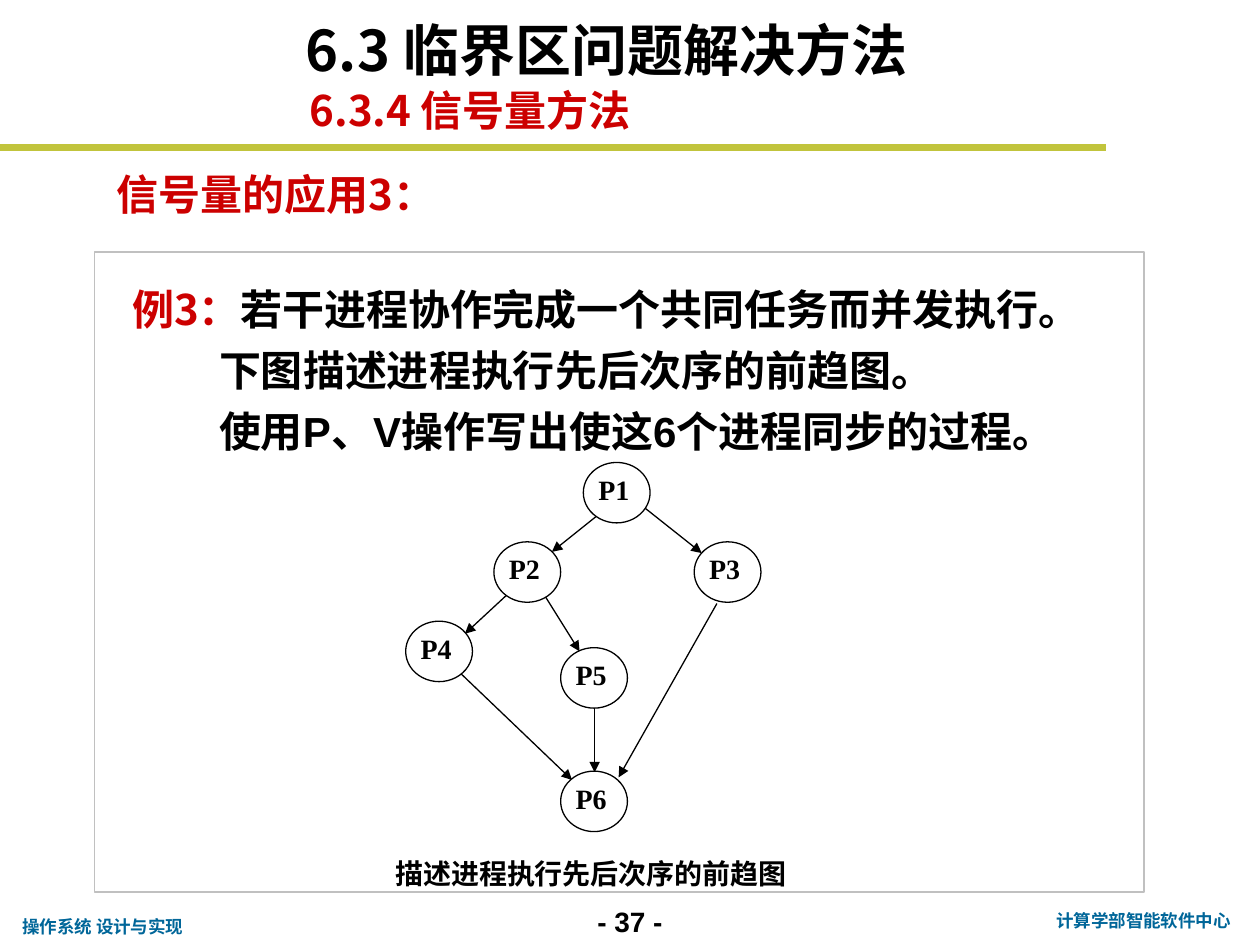
from lxml import etree
from pptx import Presentation
from pptx import util as u
from pptx.dml.color import RGBColor
from pptx.enum import shapes, text
from pptx.oxml.ns import qn

PX = 9144
BLACK = RGBColor(0x00, 0x00, 0x00)
WHITE = RGBColor(0xFF, 0xFF, 0xFF)
RED = RGBColor(0xCC, 0x00, 0x00)
BLUE = RGBColor(0x00, 0x66, 0x99)
OLIVE = RGBColor(0xC1, 0xC4, 0x3C)
SILVER = RGBColor(0xC0, 0xC0, 0xC0)
CJK, SANS, SERIF, FOOT = "Noto Sans CJK SC", "Arial", "Times New Roman", "Roboto"
TOP, MIDDLE, BOTTOM = text.MSO_ANCHOR.TOP, text.MSO_ANCHOR.MIDDLE, text.MSO_ANCHOR.BOTTOM
LEFT, CENTER, JUSTIFY = text.PP_ALIGN.LEFT, text.PP_ALIGN.CENTER, text.PP_ALIGN.JUSTIFY


def px(*values):
    return [u.Emu(v * PX) for v in values]


class Slide:
    def __init__(self, prs):
        self.s = prs.slides.add_slide(prs.slide_layouts[6])

    def run(self, p, words, size, font, color):
        r = p.add_run()
        r.text = words
        r.font.size = u.Pt(size)
        r.font.name = font
        r.font.bold = True
        r.font.color.rgb = color
        if font == CJK:
            ea = etree.Element(qn("a:ea"), typeface=font)
            r.font._element.find(qn("a:latin")).addnext(ea)

    def label(self, box, words, size, font, color=BLACK, align=LEFT, anchor=TOP, wrap=True):
        tf = self.s.shapes.add_textbox(*px(*box)).text_frame
        tf.word_wrap = wrap
        tf.vertical_anchor = anchor
        p = tf.paragraphs[0]
        p.alignment = align
        self.run(p, words, size, font, color)

    def shape(self, kind, box, line, fill=None):
        sp = self.s.shapes.add_shape(kind, *px(*box))
        sp.shadow.inherit = False
        if fill is None:
            sp.fill.background()
        else:
            sp.fill.solid()
            sp.fill.fore_color.rgb = fill
        sp.line.color.rgb = line
        sp.line.width = u.Pt(0.75)
        return sp

    def panel(self, box, paragraphs):
        tf = self.shape(shapes.MSO_SHAPE.RECTANGLE, box, SILVER).text_frame
        tf.word_wrap = True
        tf.vertical_anchor = TOP
        tf.margin_top = px(17)[0]
        for i, (margin, indent, runs) in enumerate(paragraphs):
            p = tf.add_paragraph() if i else tf.paragraphs[0]
            p.alignment = LEFT
            p.line_spacing = u.Pt(34.8)
            pPr = p._p.get_or_add_pPr()
            pPr.set("marL", str(margin * PX))
            pPr.set("indent", str(indent * PX))
            for words, font, color in runs:
                self.run(p, words, 24, font, color)

    def line(self, start, end, color=BLACK, width=0.75, arrow=True):
        ln = self.s.shapes.add_connector(shapes.MSO_CONNECTOR.STRAIGHT, *px(*start, *end))
        ln.line.color.rgb = color
        ln.line.width = u.Pt(width)
        if arrow:
            etree.SubElement(ln.line._get_or_add_ln(), qn("a:tailEnd"), type="triangle")
        etree.SubElement(ln._element.spPr, qn("a:effectLst"))

    def node(self, name, x, y):
        self.shape(shapes.MSO_SHAPE.OVAL, (x, y, 53, 48), BLACK, WHITE)
        self.label((x + 2, y + 3, 71, 42), name, 16, SERIF, align=JUSTIFY)


NODES = {"P1": (463, 367), "P2": (392, 430), "P4": (322, 493),
         "P3": (551, 430), "P5": (445, 514), "P6": (445, 612)}
ARROWS = [
    ((473, 410), (438, 438)), ((410, 465), (369, 503)), ((504, 397), (557, 439)),
    ((425, 461), (460, 517)), ((362, 531), (454, 619)), ((472, 557), (472, 613)),
    ((569, 479), (491, 617)),
]
TASK = [
    (29, -9, [("例3：", CJK, RED), ("若干进程协作完成一个共同任务而并发执行。", SANS, BLACK)]),
    (89, 0, [("下图描述进程执行先后次序的前趋图。", SANS, BLACK)]),
    (89, 0, [("使用P、V操作写出使这6个进程同步的过程。", SANS, BLACK)]),
]


def main():
    prs = Presentation()
    prs.slide_width, prs.slide_height = px(1000, 750)
    s = Slide(prs)
    s.label((450, 713, 100, 37), "- 37 -", 16, SANS, align=CENTER)
    s.line((0, 117), (878, 117), OLIVE, 4, arrow=False)
    s.label((825, 717, 165, 27), "计算学部智能软件中心", 10, FOOT, BLUE, CENTER)
    s.label((8, 722, 150, 27), "操作系统 设计与实现", 10, FOOT, BLUE, wrap=False)
    s.panel((75, 200, 833, 508), TASK)
    s.label((233, 8, 550, 63), "6.3 临界区问题解决方法", 32, CJK, anchor=BOTTOM)
    s.label((236, 66, 530, 42), "6.3.4 信号量方法", 24, CJK, RED, anchor=MIDDLE)
    s.label((83, 133, 683, 42), "信号量的应用3：", 24, CJK, RED, anchor=MIDDLE)
    for start, end in ARROWS:
        s.line(start, end)
    for name, (x, y) in NODES.items():
        s.node(name, x, y)
    s.label((304, 675, 371, 42), "描述进程执行先后次序的前趋图", 16, SERIF, align=JUSTIFY)
    prs.save("out.pptx")


if __name__ == "__main__":
    main()
